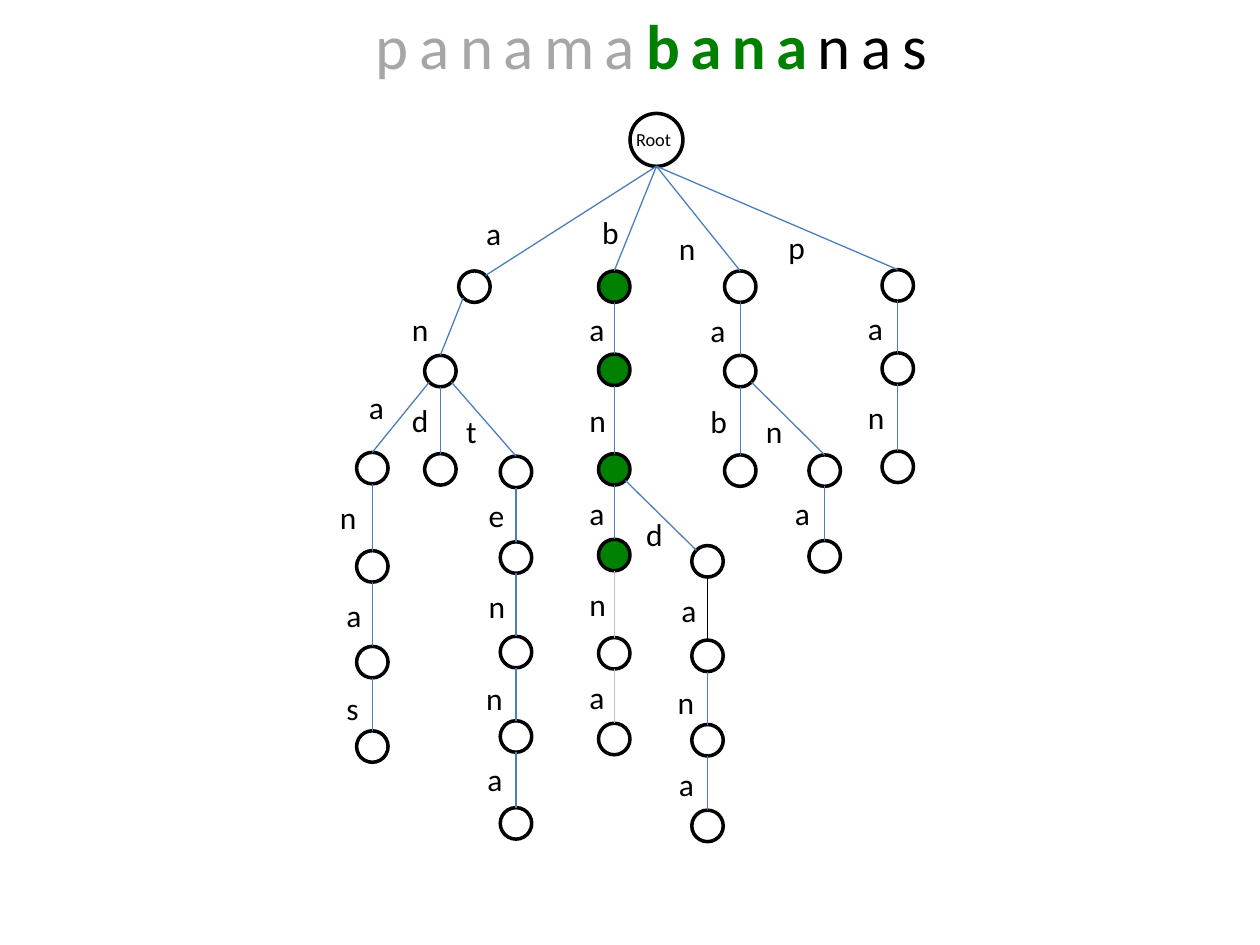
"""Build the suffix trie slide that traces "bana" through "panamabananas"."""
from math import cos, radians, sin
from typing import NamedTuple

from lxml.etree import SubElement
from pptx import Presentation
from pptx.dml.color import RGBColor
from pptx.enum.shapes import MSO_CONNECTOR as Connector, MSO_SHAPE as Shape
from pptx.enum.text import MSO_ANCHOR as Anchor, MSO_AUTO_SIZE as AutoSize, PP_ALIGN as Align
from pptx.oxml.ns import qn
from pptx.util import Inches, Pt

FONT = "Calibri"
BLACK, WHITE, GREEN = "000000", "FFFFFF", "008000"
BLUE, PALE, GRAY = "4B7EBC", "BFBFBF", "A6A6A6"
MATCH = "bana"
ROOT_SIZE, NODE_SIZE = 0.42, 0.25
LETTER_HEIGHT = 0.4
LETTER_WIDTHS = {"a": 0.32, "e": 0.33, "s": 0.3, "t": 0.29}
WIDE_LETTER = 0.34
TOP, TOP_RIGHT, BOTTOM_RIGHT, BOTTOM, BOTTOM_LEFT, TOP_LEFT = -90, -45, 45, 90, 135, 225


class Node(NamedTuple):
    """A trie node, keyed by its prefix, with the letter on the edge above it."""
    prefix: str
    left: float
    top: float
    letter_left: float = 0
    letter_top: float = 0
    leave: int = BOTTOM
    enter: int = TOP
    edge: str = BLUE

    @property
    def size(self) -> float:
        return NODE_SIZE if self.prefix else ROOT_SIZE

    def site(self, angle: int) -> tuple[float, float]:
        radius = self.size / 2
        return (self.left + radius + radius * cos(radians(angle)),
                self.top + radius + radius * sin(radians(angle)))


NODES = [
    Node("", 5, 0.9),
    Node("a", 3.64, 2.15, 3.76, 1.65, enter=TOP_RIGHT),
    Node("an", 3.37, 2.82, 3.17, 2.41, leave=BOTTOM_LEFT),
    Node("ana", 2.83, 3.59, 2.83, 3.03, leave=BOTTOM_LEFT),
    Node("anan", 2.83, 4.37, 2.6, 3.9),
    Node("anana", 2.83, 5.13, 2.65, 4.68),
    Node("ananas", 2.83, 5.8, 2.65, 5.42),
    Node("and", 3.37, 3.6, 3.17, 3.13),
    Node("ant", 3.97, 3.62, 3.6, 3.22, leave=BOTTOM_RIGHT),
    Node("ante", 3.97, 4.3, 3.78, 3.89),
    Node("anten", 3.97, 5.05, 3.78, 4.61),
    Node("antenn", 3.97, 5.72, 3.76, 5.34),
    Node("antenna", 3.97, 6.41, 3.77, 5.98),
    Node("b", 4.75, 2.15, 4.68, 1.64),
    Node("ba", 4.75, 2.81, 4.58, 2.41),
    Node("ban", 4.75, 3.6, 4.58, 3.13),
    Node("bana", 4.75, 4.28, 4.58, 3.87),
    Node("banan", 4.75, 5.06, 4.58, 4.59, edge=PALE),
    Node("banana", 4.75, 5.74, 4.58, 5.33, edge=PALE),
    Node("band", 5.49, 4.33, 5.03, 4.04, leave=BOTTOM_RIGHT, enter=TOP_LEFT),
    Node("banda", 5.49, 5.08, 5.31, 4.64, edge=BLACK),
    Node("bandan", 5.49, 5.75, 5.28, 5.37),
    Node("bandana", 5.49, 6.43, 5.29, 6.02),
    Node("n", 5.75, 2.15, 5.29, 1.77),
    Node("na", 5.75, 2.82, 5.54, 2.42),
    Node("nab", 5.75, 3.61, 5.54, 3.14),
    Node("nan", 6.42, 3.61, 5.98, 3.22, leave=BOTTOM_RIGHT),
    Node("nana", 6.42, 4.29, 6.21, 3.87),
    Node("p", 7, 2.14, 6.16, 1.76),
    Node("pa", 7, 2.8, 6.79, 2.4),
    Node("pan", 7, 3.58, 6.79, 3.11),
]


def color(value: str) -> RGBColor:
    return RGBColor.from_string(value)


def style_font(span, size: float, value: str) -> None:
    span.font.name = FONT
    span.font.size = Pt(size)
    span.font.color.rgb = color(value)


def add_node(page, node: Node) -> None:
    circle = page.shapes.add_shape(
        Shape.OVAL, Inches(node.left), Inches(node.top), Inches(node.size), Inches(node.size))
    matched = node.prefix and MATCH.startswith(node.prefix)
    circle.shadow.inherit = False
    circle.fill.solid()
    circle.fill.fore_color.rgb = color(GREEN if matched else WHITE)
    circle.line.color.rgb = color(BLACK)
    circle.line.width = Pt(2)


def add_edge(page, parent: Node, child: Node) -> None:
    ends = (*parent.site(child.leave), *child.site(child.enter))
    edge = page.shapes.add_connector(Connector.STRAIGHT, *(Inches(end) for end in ends))
    edge.line.color.rgb = color(child.edge)
    edge.line.width = Pt(0.75)
    SubElement(edge._element.spPr, qn("a:effectLst"))


def add_label(page, text: str, left: float, top: float, width: float, height: float,
              size: float, wrap: bool) -> None:
    box = page.shapes.add_textbox(Inches(left), Inches(top), Inches(width), Inches(height))
    frame = box.text_frame
    frame.word_wrap = wrap
    frame.auto_size = AutoSize.SHAPE_TO_FIT_TEXT
    frame.text = text
    style_font(frame.paragraphs[0].runs[0], size, BLACK)


def set_title(page) -> None:
    title = page.shapes.title
    title.left, title.top, title.width, title.height = (
        Inches(length) for length in (2.67, 0, 5, 0.71))
    frame = title.text_frame
    frame.word_wrap = True
    frame.auto_size = AutoSize.SHAPE_TO_FIT_TEXT
    frame.vertical_anchor = Anchor.TOP
    para = frame.paragraphs[0]
    para.alignment = Align.CENTER
    for text, value in (("panama", GRAY), (MATCH, GREEN), ("nas", BLACK)):
        span = para.add_run()
        span.text = text
        style_font(span, 36, value)
        span.font.bold = text == MATCH
        span._r.get_or_add_rPr().set("spc", "600")


def main() -> None:
    deck = Presentation()
    deck.slide_width, deck.slide_height = Inches(10), Inches(7.5)
    page = deck.slides.add_slide(deck.slide_layouts[5])
    set_title(page)
    by_prefix = {node.prefix: node for node in NODES}
    for node in NODES:
        add_node(page, node)
    add_label(page, "Root", 4.95, 0.97, 0.55, 0.28, 10.5, True)
    for node in NODES[1:]:
        letter = node.prefix[-1]
        add_edge(page, by_prefix[node.prefix[:-1]], node)
        add_label(page, letter, node.letter_left, node.letter_top,
                  LETTER_WIDTHS.get(letter, WIDE_LETTER), LETTER_HEIGHT, 18, False)
    deck.save("out.pptx")


if __name__ == "__main__":
    main()
